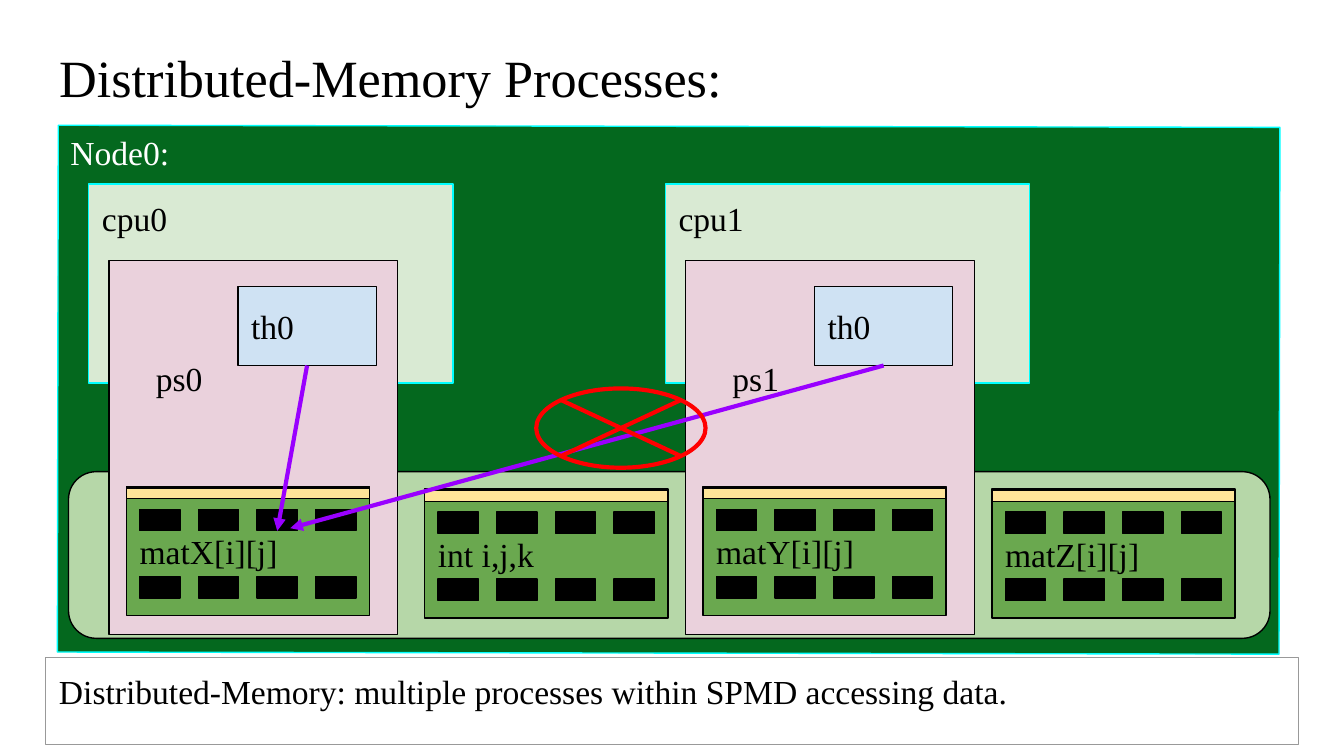
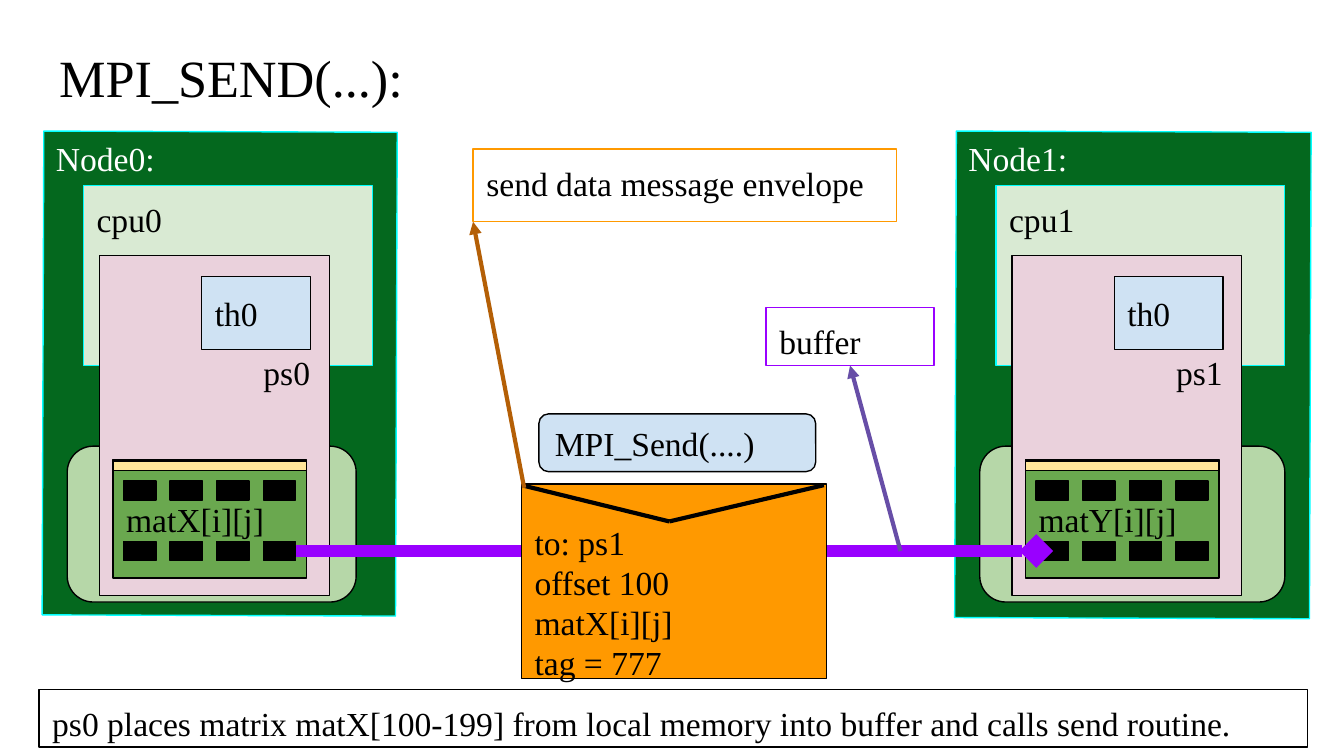
from math import sqrt

from lxml.etree import SubElement
from pptx import Presentation
from pptx.dml.color import RGBColor
from pptx.enum.shapes import MSO_CONNECTOR, MSO_SHAPE
from pptx.enum.text import MSO_ANCHOR, MSO_AUTO_SIZE, PP_ALIGN
from pptx.oxml.ns import qn
from pptx.util import Pt

# Shared look
EMU_PER_PX = 9144  # 100 px to the inch
FONT = "Times New Roman"
BLACK, WHITE, CYAN, PURPLE = "000000", "FFFFFF", "00FFFF", "9900FF"
ORANGE, RED, GREY = "FF9900", "FF0000", "999999"
FILL = {"node": "04681E", "memory": "B6D7A8", "cpu": "D9EAD3", "process": "EAD1DC",
        "thread": "CFE2F3", "board": "6AA84F", "strip": "FFE599"}
INSETS = (10, 10, 10, 10)
TITLE_BOX = (34, 24, 932, 63)
CHIPS = 4

# Content of slide 1; process, thread and board are placed from their CPU's corner
SHARED = {
    "title": "Distributed-Memory Processes:",
    "caption": ("Distributed-Memory: multiple processes within SPMD accessing data.",
                (34, 489, 932, 65), GREY),
    "tilt": 0.1,
    "nodes": [("Node0:", (43, 94, 909, 392), (51, 351, 894, 124))],
    "cpus": [("cpu0", "ps0", "th0", "matX[i][j]", (66, 137)),
             ("cpu1", "ps1", "th0", "matY[i][j]", (495, 137))],
    "boards": [("matZ[i][j]", (738, 364)), ("int i,j,k", (316, 364))],
    "cpu_size": (271, 148),
    "process": (15, 57, 215, 278),
    "process_insets": (35, 72, 10, 10),
    "thread": (111, 76, 103, 59),
    "board": (28, 225),
    "board_size": (181, 96),
    "chip": {"size": (30, 16), "margin": 10, "rows": (17, 67), "strip": 8},
}
FORBIDDEN = (399, 289, 126, 59)
REMOTE_TARGET = (216, 393)

# Content of slide 2
SENDING = {
    "title": "MPI_SEND(...):",
    "caption": ("ps0 places matrix matX[100-199] from local memory into buffer and "
                "calls send routine.", (29, 513, 944, 43), BLACK),
    "tilt": 0.2,
    "nodes": [("Node0:", (32, 98, 263, 360), (50, 332, 215, 116)),
              ("Node1:", (711, 98, 264, 362), (729, 332, 227, 116))],
    "cpus": [("cpu0", "ps0", "th0", "matX[i][j]", (62, 138)),
             ("cpu1", "ps1", "th0", "matY[i][j]", (741, 138))],
    "boards": [],
    "cpu_size": (215, 134),
    "process": (12, 52, 171, 253),
    "process_insets": (122, 72, 10, 10),
    "thread": (88, 68, 81, 54),
    "board": (22, 204),
    "board_size": (144, 88),
    "chip": {"size": (24, 14), "margin": 8, "rows": (16, 61), "strip": 7},
}
ENVELOPE = (["to: ps1", "offset 100", "matX[i][j]", "tag = 777"], (388, 360, 227, 145))
FLAP = [(388, 361), (498, 388), (613, 361)]
ROUTINE = ("MPI_Send(....)", (401, 308, 206, 43))
MESSAGE = ("send data message envelope", (352, 111, 315, 54))
BUFFER = ("buffer", (570, 229, 125, 43))


def px(n):
    return round(n * EMU_PER_PX)


def rgb(color):
    return RGBColor.from_string(color)


def set_attrs(obj, values):
    for name, value in values.items():
        setattr(obj, name, value)


def write(tf, lines, size=18, color=BLACK, anchor=MSO_ANCHOR.TOP, insets=INSETS,
          spacing=None):
    left, top, right, bottom = map(px, insets)
    set_attrs(tf, {"word_wrap": True, "auto_size": MSO_AUTO_SIZE.NONE,
                   "vertical_anchor": anchor, "margin_left": left, "margin_top": top,
                   "margin_right": right, "margin_bottom": bottom})
    for i, line in enumerate(lines):
        p = tf.add_paragraph() if i else tf.paragraphs[0]
        set_attrs(p, {"alignment": PP_ALIGN.LEFT, "line_spacing": spacing})
        r = p.add_run()
        r.text = line
        set_attrs(r.font, {"name": FONT, "size": Pt(size)})
        r.font.color.rgb = rgb(color)


def add_box(s, box, fill=None, line=BLACK, text=None, kind=MSO_SHAPE.RECTANGLE,
            width=0.75, **text_format):
    sp = s.shapes.add_shape(kind, *map(px, box))
    sp.shadow.inherit = False
    if fill:
        sp.fill.solid()
        sp.fill.fore_color.rgb = rgb(fill)
    else:
        sp.fill.background()
    sp.line.color.rgb = rgb(line)
    sp.line.width = Pt(width)
    if text:
        write(sp.text_frame, [text] if isinstance(text, str) else text, **text_format)
    return sp


def add_line(s, start, end, color, width=2.25, tip=None):
    """Each end is an (x, y) point or a (shape, side) pair."""
    joined = [not isinstance(e[0], (int, float)) for e in (start, end)]
    points = [(0, 0) if j else e for j, e in zip(joined, (start, end))]
    c = s.shapes.add_connector(MSO_CONNECTOR.STRAIGHT,
                               *[px(n) for point in points for n in point])
    if joined[0]:
        c.begin_connect(*start)
    if joined[1]:
        c.end_connect(*end)
    c.line.color.rgb = rgb(color)
    c.line.width = Pt(width)
    if tip:
        SubElement(c.line._get_or_add_ln(), qn("a:tailEnd"), type=tip)
    SubElement(c._element.spPr, qn("a:effectLst"))
    return c


def add_board(s, label, corner, size, chip):
    """Draw a memory board and return its rows of chips."""
    (x, y), (w, h), (chip_w, chip_h) = corner, size, chip["size"]
    add_box(s, (x, y, w, h), FILL["board"], text=label, anchor=MSO_ANCHOR.MIDDLE,
            kind=MSO_SHAPE.FLOWCHART_PROCESS)
    pitch = (w - 2 * chip["margin"] - chip_w) / (CHIPS - 1)
    rows = [[add_box(s, (x + chip["margin"] + i * pitch, y + row, chip_w, chip_h), BLACK)
             for i in range(CHIPS)] for row in chip["rows"]]
    add_box(s, (x, y + 1, w, chip["strip"]), FILL["strip"])
    return rows


def add_machine(prs, spec_):
    """Draw title, caption, nodes and CPUs; return the slide, threads and chips."""
    s = prs.slides.add_slide(prs.slide_layouts[5])
    title = s.shapes.title
    set_attrs(title, dict(zip(("left", "top", "width", "height"), map(px, TITLE_BOX))))
    write(title.text_frame, [spec_["title"]], size=28)

    for label, node, memory in spec_["nodes"]:
        sp = add_box(s, node, FILL["node"], CYAN, label, color=WHITE, insets=(9, 5, 9, 5))
        sp.rotation = spec_["tilt"]
        add_box(s, memory, FILL["memory"], kind=MSO_SHAPE.FLOWCHART_ALTERNATE_PROCESS)
    for label, corner in spec_["boards"]:
        add_board(s, label, corner, spec_["board_size"], spec_["chip"])

    threads, chips = [], []
    for cpu, process, thread, matrix, (x, y) in spec_["cpus"]:
        def placed(part):
            dx, dy, *size = spec_[part]
            return (x + dx, y + dy, *size)

        add_box(s, (x, y, *spec_["cpu_size"]), FILL["cpu"], CYAN, cpu)
        add_box(s, placed("process"), FILL["process"], text=process,
                insets=spec_["process_insets"])
        threads.append(add_box(s, placed("thread"), FILL["thread"], text=thread,
                               anchor=MSO_ANCHOR.MIDDLE))
        chips.append(add_board(s, matrix, placed("board"), spec_["board_size"],
                               spec_["chip"]))
    text, box, line = spec_["caption"]
    add_box(s, box, line=line, text=text)
    return s, threads, chips


def build_shared(prs):
    s, threads, chips = add_machine(prs, SHARED)
    # Local access is allowed, remote access is not
    add_line(s, (threads[0], 2), (chips[0][0][2], 2), PURPLE, tip="triangle")
    add_line(s, (threads[1], 2), REMOTE_TARGET, PURPLE, tip="triangle")
    # Crossed-out ellipse, its cross ending on the outline
    add_box(s, FORBIDDEN, line=RED, kind=MSO_SHAPE.OVAL, width=2.25)
    x, y, w, h = FORBIDDEN
    inset = (1 - 1 / sqrt(2)) / 2
    left, right = x + w * inset, x + w * (1 - inset)
    top, bottom = y + h * inset, y + h * (1 - inset)
    add_line(s, (left, top), (right, bottom), RED)
    add_line(s, (right, top), (left, bottom), RED)


def build_sending(prs):
    s, _, chips = add_machine(prs, SENDING)
    # Buffer line from the last chip of matX to the first chip of matY
    add_line(s, (chips[0][1][-1], 3), (chips[1][1][0], 1), PURPLE, 6, "diamond")
    # Envelope with its flap
    lines, box = ENVELOPE
    add_box(s, box, ORANGE, text=lines, insets=(10, 28, 10, 0), spacing=Pt(21.6))
    for start, end in zip(FLAP, FLAP[1:]):
        add_line(s, start, end, BLACK)
    text, box = ROUTINE
    add_box(s, box, FILL["thread"], text=text, kind=MSO_SHAPE.ROUNDED_RECTANGLE,
            anchor=MSO_ANCHOR.MIDDLE)
    # Callouts
    text, box = MESSAGE
    add_box(s, box, line=ORANGE, text=text)
    add_line(s, (390, 363), (box[0], box[1] + box[3]), "B45F06", tip="triangle")
    text, box = BUFFER
    buffer = add_box(s, box, line=PURPLE, text=text)
    add_line(s, (670, 410), (buffer, 2), "674EA7", tip="triangle")


def main():
    prs = Presentation()
    set_attrs(prs, {"slide_width": px(1000), "slide_height": px(562.5)})
    build_shared(prs)
    build_sending(prs)
    prs.save("out.pptx")


if __name__ == "__main__":
    main()
